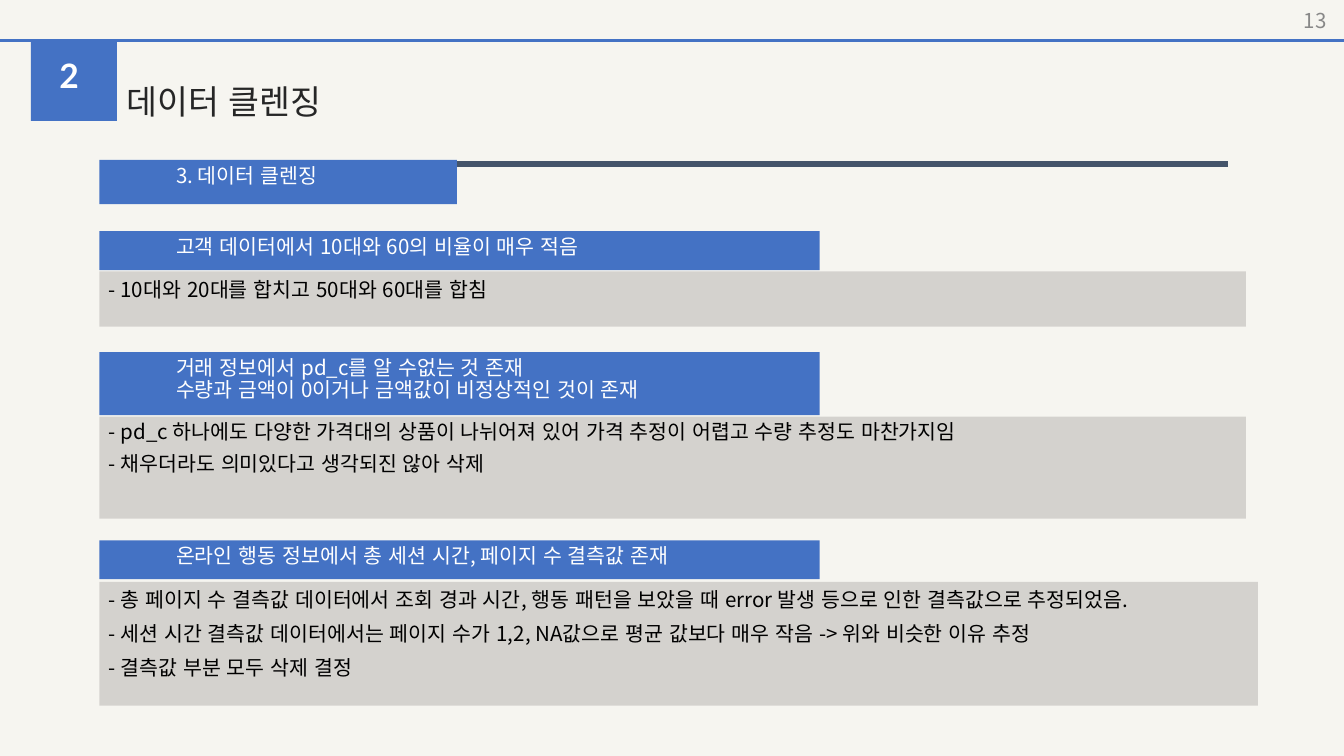
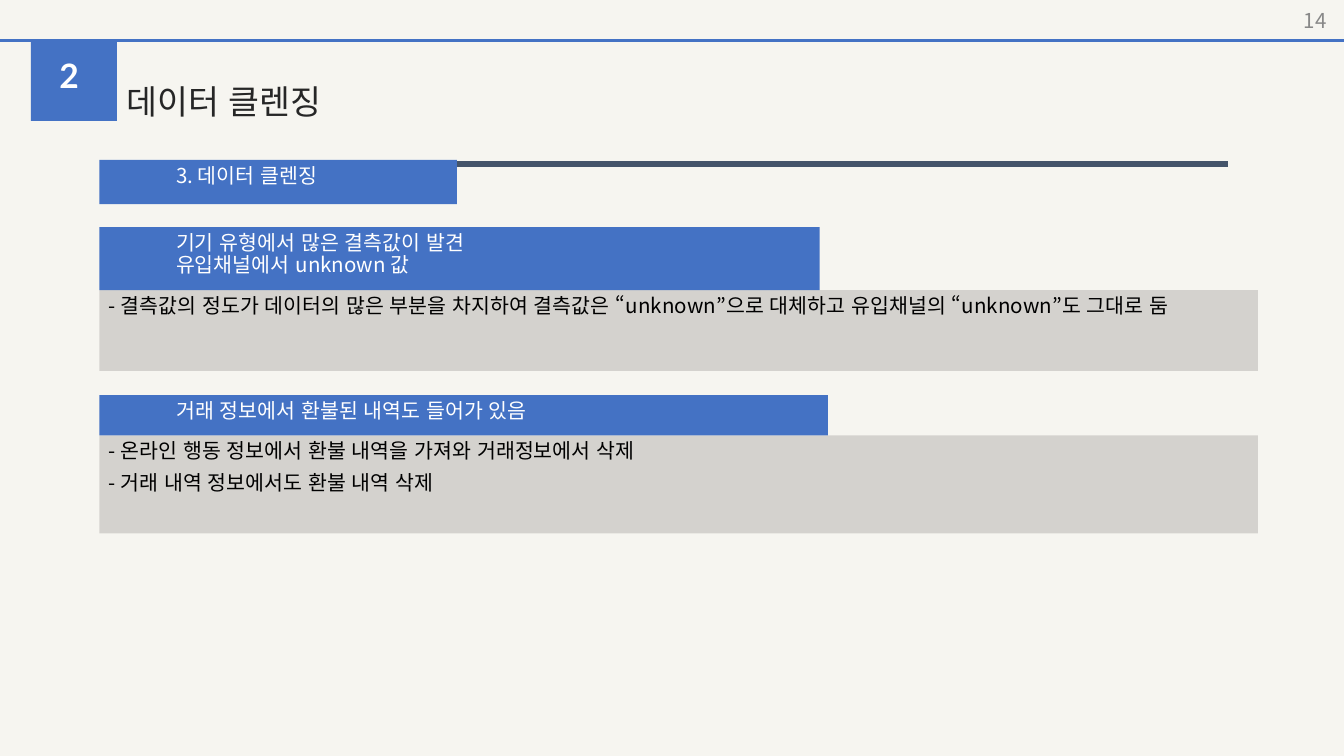
import dataclasses
import typing

import pptx
import pptx.dml.color
import pptx.enum.lang
import pptx.enum.shapes
import pptx.enum.text
import pptx.oxml.ns
import pptx.util
from lxml import etree
from pptx.util import Inches

ALIGN = pptx.enum.text.PP_ALIGN
ANCHOR = pptx.enum.text.MSO_ANCHOR


@dataclasses.dataclass(frozen=True)
class Theme:
    paper: str = "F6F5F0"
    blue: str = "4472C4"
    slate: str = "44546A"
    gray: str = "757070"
    gray_alpha: int = 26
    title: str = "262626"
    number: str = "888888"
    white: str = "FFFFFF"
    black: str = "000000"
    body_font: str = "Noto Sans CJK KR"
    title_font: str = "Arial"
    badge_font: str = "Lato"
    big: int = 18
    small: int = 11


THEME = Theme()
LEFT = 0.74  # shared left edge of all bands
WIDTH = 10
HEIGHT = WIDTH * 9 / 16


class Box(typing.NamedTuple):
    left: float
    top: float
    width: float
    height: float


@dataclasses.dataclass(frozen=True)
class Section:
    """A blue heading band with a gray panel of dash items below it."""
    top: float
    heading: tuple[str, ...]
    heading_height: float
    items: tuple[str, ...]
    panel_top: float
    panel_height: float
    heading_width: float = 5.36
    panel_width: float = 8.62
    line: float = 0.9
    after: float = 5


@dataclasses.dataclass(frozen=True)
class Page:
    number: int
    sections: tuple[Section, ...]


PAGES = (
    Page(13, (
        Section(1.72, ("고객 데이터에서 10대와 60의 비율이 매우 적음",), 0.29,
                ("- 10대와 20대를 합치고 50대와 60대를 합침",),
                2.02, 0.41, panel_width=8.53, line=1.0),
        Section(2.62, ("거래 정보에서 pd_c를 알 수없는 것 존재",
                       "수량과 금액이 0이거나 금액값이 비정상적인 것이 존재"), 0.47,
                ("- pd_c 하나에도 다양한 가격대의 상품이 나뉘어져 있어 가격 추정이 어렵고 수량 추정도 마찬가지임",
                 "- 채우더라도 의미있다고 생각되진 않아 삭제"),
                3.1, 0.76, panel_width=8.53),
        Section(4.02, ("온라인 행동 정보에서 총 세션 시간, 페이지 수 결측값 존재",), 0.29,
                ("- 총 페이지 수 결측값 데이터에서 조회 경과 시간, 행동 패턴을 보았을 때 error 발생 등으로 인한 결측값으로 추정되었음.",
                 "- 세션 시간 결측값 데이터에서는 페이지 수가 1,2, NA값으로 평균 값보다 매우 작음 -> 위와 비슷한 이유 추정",
                 "- 결측값 부분 모두 삭제 결정"),
                4.33, 0.92, line=1.0, after=0),
    )),
    Page(14, (
        Section(1.69, ("기기 유형에서 많은 결측값이 발견", "유입채널에서 unknown 값"), 0.47,
                ("- 결측값의 정도가 데이터의 많은 부분을 차지하여 결측값은 “unknown”으로 대체하고 유입채널의 “unknown”도 그대로 둠",),
                2.16, 0.6),
        Section(2.94, ("거래 정보에서 환불된 내역도 들어가 있음",), 0.3,
                ("- 온라인 행동 정보에서 환불 내역을 가져와 거래정보에서 삭제",
                 "- 거래 내역 정보에서도 환불 내역 삭제"),
                3.24, 0.73, heading_width=5.42),
    )),
)


def rgb(color: str) -> pptx.dml.color.RGBColor:
    return pptx.dml.color.RGBColor.from_string(color)


def sub(parent, tag: str, **attributes: str):
    return etree.SubElement(parent, pptx.oxml.ns.qn(tag), attributes)


def add_rect(page, box: Box, color: str, alpha: int = 100):
    shape = page.shapes.add_shape(pptx.enum.shapes.MSO_SHAPE.RECTANGLE, *map(Inches, box))
    shape.shadow.inherit = False
    shape.line.fill.background()
    shape.fill.solid()
    shape.fill.fore_color.rgb = rgb(color)
    if alpha < 100:
        fill = shape.fill._xPr.find(pptx.oxml.ns.qn("a:solidFill"))
        sub(fill[0], "a:alpha", val=str(alpha * 1000))
    return shape


def add_line(page, left: float, right: float, top: float, color: str, weight: float) -> None:
    line = page.shapes.add_connector(pptx.enum.shapes.MSO_CONNECTOR.STRAIGHT,
                                     Inches(left), Inches(top), Inches(right), Inches(top))
    line.line.color.rgb = rgb(color)
    line.line.width = pptx.util.Pt(weight)
    sub(line._element.spPr, "a:effectLst")


def write(shape, lines: typing.Sequence[str], *, color: str, size: float = THEME.small,
          font: str = THEME.body_font, bold: bool = False, align=ALIGN.LEFT,
          anchor=ANCHOR.TOP, inset: tuple[float, float] = (0.07, 0.04),
          line: float = 1.0, before: float = 0, after: float = 0,
          indent: float = 0) -> None:
    """Fill a shape with one paragraph per line; after applies to the last one."""
    frame = shape.text_frame
    frame.word_wrap = True
    frame.vertical_anchor = anchor
    frame.margin_left = frame.margin_right = Inches(inset[0])
    frame.margin_top = frame.margin_bottom = Inches(inset[1])
    for index, text in enumerate(lines):
        para = frame.add_paragraph() if index else frame.paragraphs[0]
        para.alignment = align
        para.line_spacing = line
        para.space_before = pptx.util.Pt(before)
        para.space_after = pptx.util.Pt(after if index == len(lines) - 1 else 0)
        para._p.get_or_add_pPr().set("marL", str(Inches(indent)))
        span = para.add_run()
        span.text = text
        span.font.size = pptx.util.Pt(size)
        span.font.bold = bold
        span.font.color.rgb = rgb(color)
        span.font.name = font
        span.font.language_id = pptx.enum.lang.MSO_LANGUAGE_ID.KOREAN


def add_text(page, box: Box, text: str, **style) -> None:
    write(page.shapes.add_textbox(*map(Inches, box)), (text,), **style)


def add_heading(page, box: Box, lines: typing.Sequence[str]) -> None:
    write(add_rect(page, box, THEME.blue), lines, color=THEME.white, line=0.9, indent=0.5)


def add_frame(page, number: int) -> None:
    # Badge, rules, title and page number
    add_rect(page, Box(0.23, 0.3, 0.64, 0.6), THEME.blue)
    add_line(page, 0, WIDTH, 0.3, THEME.blue, 1.5)
    add_line(page, 0.86, 9.14, 1.22, THEME.slate, 3.25)
    add_text(page, Box(0.86, 0.3, 8.27, 0.9), "데이터 클렌징", color=THEME.title,
             size=THEME.big, font=THEME.title_font, anchor=ANCHOR.MIDDLE,
             inset=(0.08, 0.04))
    add_text(page, Box(7.7, 0, 2.25, 0.3), str(number), color=THEME.number,
             align=ALIGN.RIGHT, anchor=ANCHOR.MIDDLE, inset=(0.08, 0.04))
    add_text(page, Box(0.25, 0.31, 0.53, 0.6), "2", color=THEME.white, size=THEME.big,
             font=THEME.badge_font, bold=True, align=ALIGN.CENTER,
             inset=(0.1, 0.1), before=2, after=1)
    add_heading(page, Box(LEFT, 1.19, 2.66, 0.33), ("3. 데이터 클렌징",))


def add_section(page, section: Section) -> None:
    panel = add_rect(page, Box(LEFT, section.panel_top, section.panel_width,
                               section.panel_height), THEME.gray, THEME.gray_alpha)
    write(panel, section.items, color=THEME.black, line=section.line,
          before=5, after=section.after)
    add_heading(page, Box(LEFT, section.top, section.heading_width,
                          section.heading_height), section.heading)


def main() -> None:
    deck = pptx.Presentation()
    deck.slide_width, deck.slide_height = Inches(WIDTH), Inches(HEIGHT)
    blank = deck.slide_layouts[6]
    for content in PAGES:
        page = deck.slides.add_slide(blank)
        page.background.fill.solid()
        page.background.fill.fore_color.rgb = rgb(THEME.paper)
        add_frame(page, content.number)
        for section in content.sections:
            add_section(page, section)
    deck.save("out.pptx")


if __name__ == "__main__":
    main()
